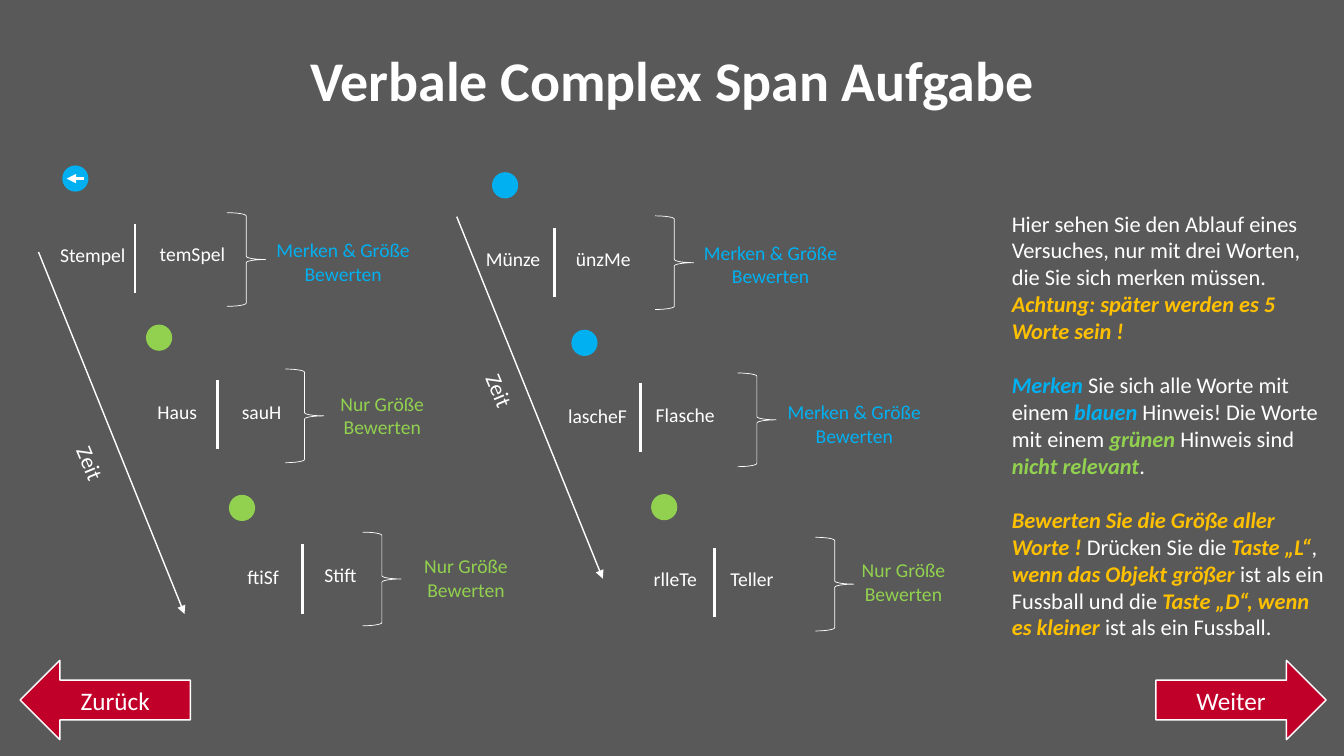
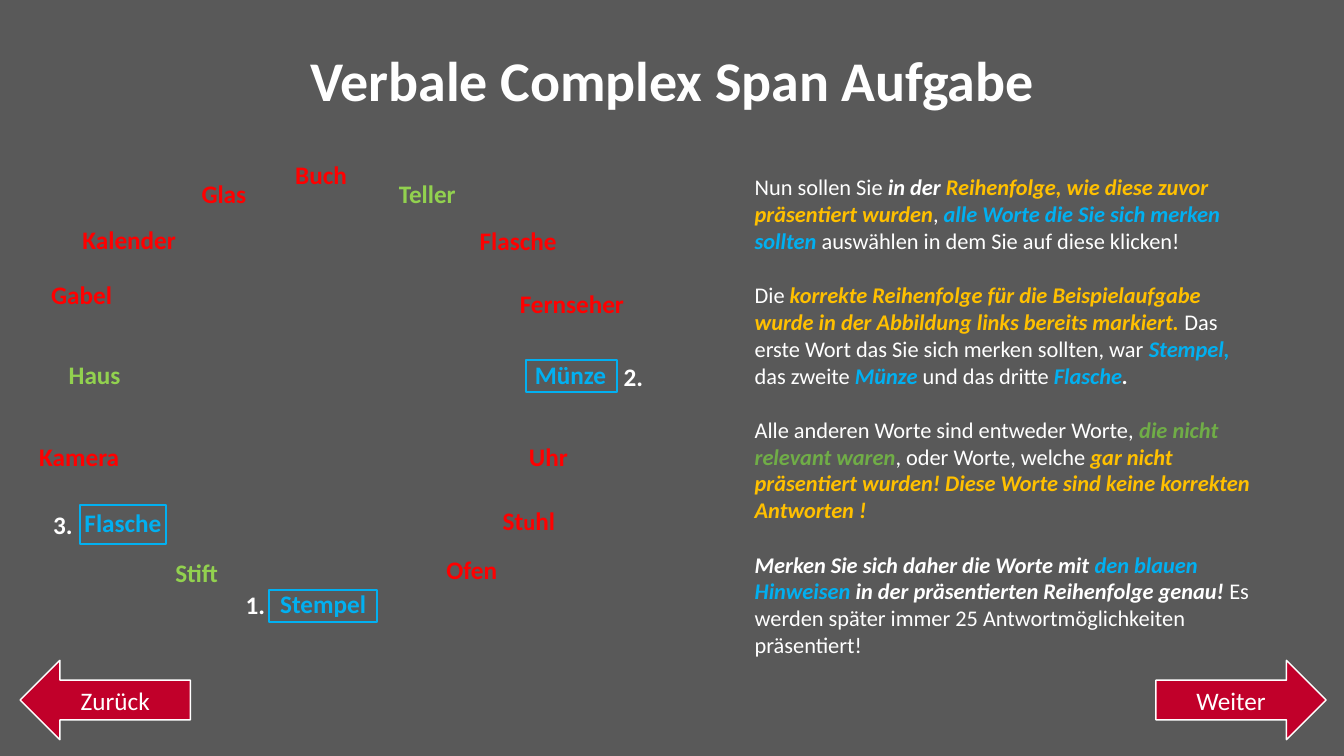
from lxml import etree
from pptx import Presentation
from pptx import util as u
from pptx.dml.color import RGBColor
from pptx.enum import shapes, text
from pptx.oxml import ns

# Shared style
GREY = RGBColor(0x59, 0x59, 0x59)
WHITE = RGBColor(0xFF, 0xFF, 0xFF)
BLUE = RGBColor(0x01, 0xB0, 0xF1)
GREEN = RGBColor(0x92, 0xD1, 0x4F)
DARK_GREEN = RGBColor(0x70, 0xAD, 0x47)
AMBER = RGBColor(0xFF, 0xC0, 0x00)
RED = RGBColor(0xFF, 0x00, 0x00)
CRIMSON = RGBColor(0xC1, 0x00, 0x2A)
FONT = "Calibri"
TITLE = "Verbale Complex Span Aufgabe"
CENTER = text.PP_ALIGN.CENTER
SHAPE = shapes.MSO_SHAPE


def em(words, color):
    """A bold italic run in the given colour."""
    return words, dict(color=color, bold=True, italic=True)


def write(tf, content, size=16, color=WHITE, bold=False, italic=False,
          align=None, gap=0):
    """Fill a text frame with a string or with a list of paragraphs of runs."""
    paragraphs = [[content]] if isinstance(content, str) else content
    for i, runs in enumerate(paragraphs):
        p = tf.paragraphs[0] if i == 0 else tf.add_paragraph()
        p.alignment = align
        if i and gap:
            p.space_before = u.Pt(gap)
        for run in runs:
            words, changes = (run, {}) if isinstance(run, str) else run
            style = dict(size=size, color=color, bold=bold, italic=italic)
            style.update(changes)
            r = p.add_run()
            r.text = words
            r.font.name = FONT
            r.font.size = u.Pt(style["size"])
            r.font.color.rgb = style["color"]
            r.font.bold = style["bold"]
            r.font.italic = style["italic"]


class Deck:
    def __init__(self):
        self.prs = Presentation()
        self.prs.slide_width, self.prs.slide_height = u.Cm(33.87), u.Cm(19.05)
        fill = self.prs.slide_master.background.fill
        fill.solid()
        fill.fore_color.rgb = GREY
        self.s = None

    def slide(self):
        """Start a slide with the title and both navigation arrows."""
        self.s = self.prs.slides.add_slide(self.prs.slide_layouts[6])
        self.text(TITLE, 7.11, 1.02, 19.66, 1.96, wrap=False, size=40,
                  bold=True, align=CENTER)
        for label, kind, x in (("Weiter", SHAPE.RIGHT_ARROW, 29.13),
                               ("Zurück", SHAPE.LEFT_ARROW, 0.51)):
            sp = self.shape(kind, x, 16.64, 4.29, 2, fill=CRIMSON, line=WHITE)
            sp.text_frame.vertical_anchor = text.MSO_ANCHOR.MIDDLE
            write(sp.text_frame, label, size=18, align=CENTER)

    def text(self, content, x, y, w, h, wrap=True, turn=0, **style):
        sp = self.s.shapes.add_textbox(u.Cm(x), u.Cm(y), u.Cm(w), u.Cm(h))
        sp.rotation = turn
        tf = sp.text_frame
        tf.word_wrap = wrap
        tf.auto_size = text.MSO_AUTO_SIZE.SHAPE_TO_FIT_TEXT
        write(tf, content, **style)

    def shape(self, kind, x, y, w, h, fill=None, line=None, width=1):
        sp = self.s.shapes.add_shape(kind, u.Cm(x), u.Cm(y), u.Cm(w), u.Cm(h))
        sp.shadow.inherit = False
        if fill is None:
            sp.fill.background()
        else:
            sp.fill.solid()
            sp.fill.fore_color.rgb = fill
        if line is None:
            sp.line.fill.background()
        else:
            sp.line.color.rgb = line
            sp.line.width = u.Pt(width)
        return sp

    def line(self, x, y, dx, dy, width, arrow=False):
        cn = self.s.shapes.add_connector(
            shapes.MSO_CONNECTOR.STRAIGHT,
            u.Cm(x), u.Cm(y), u.Cm(x + dx), u.Cm(y + dy))
        cn.line.color.rgb = WHITE
        cn.line.width = u.Pt(width)
        if arrow:
            ln = cn.line._get_or_add_ln()
            etree.SubElement(ln, ns.qn("a:tailEnd"), type="triangle")
        etree.SubElement(cn._element.spPr, ns.qn("a:effectLst"))

    def trial(self, cue, dot, divider, left, right, brace, label):
        """One trial: cue dot, two words around a divider, brace and task."""
        self.shape(SHAPE.OVAL, *dot, 0.66, 0.66, fill=cue)
        self.line(*divider, 0, 1.74, 2)
        for word, x, y, w in (left, right):
            self.text(word, x, y, w, 0.86, size=14, align=CENTER)
        self.shape(SHAPE.RIGHT_BRACE, *brace, 0.97, 2.36, line=WHITE, width=0.5)
        x, y, w = label
        self.text(TASKS[cue], x, y, w, 1.45, size=14, color=cue, align=CENTER)


# Slide 1: course of a trial
TASKS = {BLUE: "Merken & Größe Bewerten", GREEN: "Nur Größe Bewerten"}

# cue, dot, divider, left word, right word, brace, task label
TRIALS = [
    (BLUE, (1.57, 4.17), (3.4, 5.64), ("Stempel", 1.17, 5.99, 2.34),
     ("temSpel", 3.73, 5.97, 2.24), (5.72, 5.36), (6.53, 5.87, 4.24)),
    (GREEN, (3.68, 8.18), (5.49, 9.58), ("Haus", 3.43, 9.96, 2.08),
     ("sauH", 5.77, 9.96, 1.65), (7.19, 9.3), (7.87, 9.75, 3.53)),
    (GREEN, (5.77, 12.47), (7.62, 13.72), ("ftiSf", 5.64, 14.1, 1.98),
     ("Stift", 7.54, 14.07, 2.08), (9.14, 13.41), (9.88, 13.84, 3.73)),
    (BLUE, (12.4, 4.34), (13.97, 5.74), ("Münze", 11.89, 6.1, 2.08),
     ("ünzMe", 14.25, 6.1, 1.91), (16.51, 5.44), (17.3, 5.94, 4.24)),
    (BLUE, (14.4, 8.31), (16.15, 9.65), ("lascheF", 14.02, 10.06, 2.08),
     ("Flasche", 16.23, 10.03, 2.08), (18.59, 9.4), (19.41, 9.96, 4.24)),
    (GREEN, (16.41, 12.45), (18.01, 13.82), ("rlleTe", 16.03, 14.17, 1.98),
     ("Teller", 17.91, 14.17, 2.08), (20.55, 13.54), (20.8, 13.94, 3.94)),
]
PROCEDURE = [
    ["Hier sehen Sie den Ablauf eines Versuches, nur mit drei Worten, "
     "die Sie sich merken müssen. ",
     em("Achtung: später werden es 5 Worte sein !", AMBER)],
    [em("Merken", BLUE), " Sie sich alle Worte mit einem ",
     em("blauen ", BLUE), "Hinweis! Die Worte mit einem ",
     em("grünen ", GREEN), "Hinweis sind ", em("nicht relevant", GREEN), ". "],
    [em("Bewerten Sie die Größe aller Worte ! ", AMBER), "Drücken Sie die ",
     em("Taste „L“", AMBER), ", ", em("wenn das Objekt größer ", AMBER),
     "ist als ein Fussball und die ",
     em("Taste „D“, wenn es kleiner ", AMBER), "ist als ein Fussball."],
]

deck = Deck()
deck.slide()
for trial in TRIALS:
    deck.trial(*trial)
deck.line(2.11, 4.5, -0.43, 0, 2.25, arrow=True)

# Time axes
for start, caption in (((0.97, 6.35), (0.69, 11.2)),
                       ((11.51, 5.46), (11, 9.37))):
    deck.line(*start, 3.68, 9.12, 1, arrow=True)
    deck.text("Zeit", *caption, 3.18, 0.94, turn=67.5, align=CENTER)
deck.text(PROCEDURE, 25.25, 5.16, 8.41, 11.96, gap=19.5)

# Slide 2: recall of the words
WORDS = [
    ("Stempel", BLUE, 6.81, 14.71, 2.72),
    ("Kalender", RED, 1.83, 5.54, 2.95),
    ("Flasche", BLUE, 1.88, 12.65, 2.51),
    ("Ofen", RED, 11, 13.84, 1.85),
    ("Buch", RED, 7.19, 3.89, 1.93),
    ("Glas", RED, 4.83, 4.37, 1.93),
    ("Stift", GREEN, 4.17, 13.92, 1.93),
    ([["St", ("u", dict(size=16)), "hl"]], RED, 12.42, 12.6, 1.85),
    ("Kamera", RED, 0.74, 11, 2.62),
    ("Münze", BLUE, 13.23, 8.92, 2.31),
    ("Fernseher", RED, 12.85, 7.14, 3.43),
    ("Gabel", RED, 1.04, 6.91, 2.49),
    ("Flasche", RED, 11.84, 5.56, 2.79),
    ("Uhr", RED, 13.08, 11, 2.31),
    ("Teller", GREEN, 9.8, 4.37, 2.62),
]
# order, number position, frame
ANSWERS = [
    ("1.", (5.94, 14.73), (6.78, 14.86, 2.72, 0.81)),
    ("2.", (15.47, 8.97), (13.26, 9.07, 2.29, 0.81)),
    ("3.", (1.09, 12.7), (2.01, 12.73, 2.18, 0.97)),
]
RECALL = [
    ["Nun sollen Sie ", em("in der ", WHITE),
     em("Reihenfolge, wie diese zuvor präsentiert wurden", AMBER), ", ",
     em("alle Worte die Sie sich merken sollten ", BLUE),
     "auswählen in dem Sie auf diese klicken! "],
    ["Die ", em("korrekte Reihenfolge für die Beispielaufgabe wurde in der "
                "Abbildung links bereits markiert. ", AMBER),
     "Das erste Wort das Sie sich merken sollten, war ",
     em("Stempel, ", BLUE), "das zweite ", em("Münze ", BLUE),
     "und das dritte ", em("Flasche", BLUE), em(".", WHITE)],
    ["Alle anderen Worte sind entweder Worte, ",
     em("die nicht relevant waren", DARK_GREEN), ", oder Worte, welche ",
     em("gar nicht präsentiert wurden! Diese Worte sind keine korrekten "
        "Antworten ! ", AMBER)],
    [em("Merken Sie sich daher die Worte mit ", WHITE),
     em("den blauen Hinweisen", BLUE),
     em(" in der präsentierten Reihenfolge genau! ", WHITE),
     "Es werden später immer 25 Antwortmöglichkeiten präsentiert! "],
]

deck.slide()
deck.text(RECALL, 18.77, 4.24, 13.28, 13.26, gap=19.5)
for word, color, x, y, w in WORDS:
    deck.text(word, x, y, w, 1.02, size=18, color=color, bold=True)
deck.text("Haus", 1.42, 8.92, 1.93, 1.02, size=18, color=GREEN, bold=True,
          align=CENTER)
for number, place, frame in ANSWERS:
    deck.shape(SHAPE.RECTANGLE, *frame, line=BLUE, width=1.5)
    deck.text(number, *place, 1.02, 1.02, size=18, bold=True)

deck.prs.save("out.pptx")
